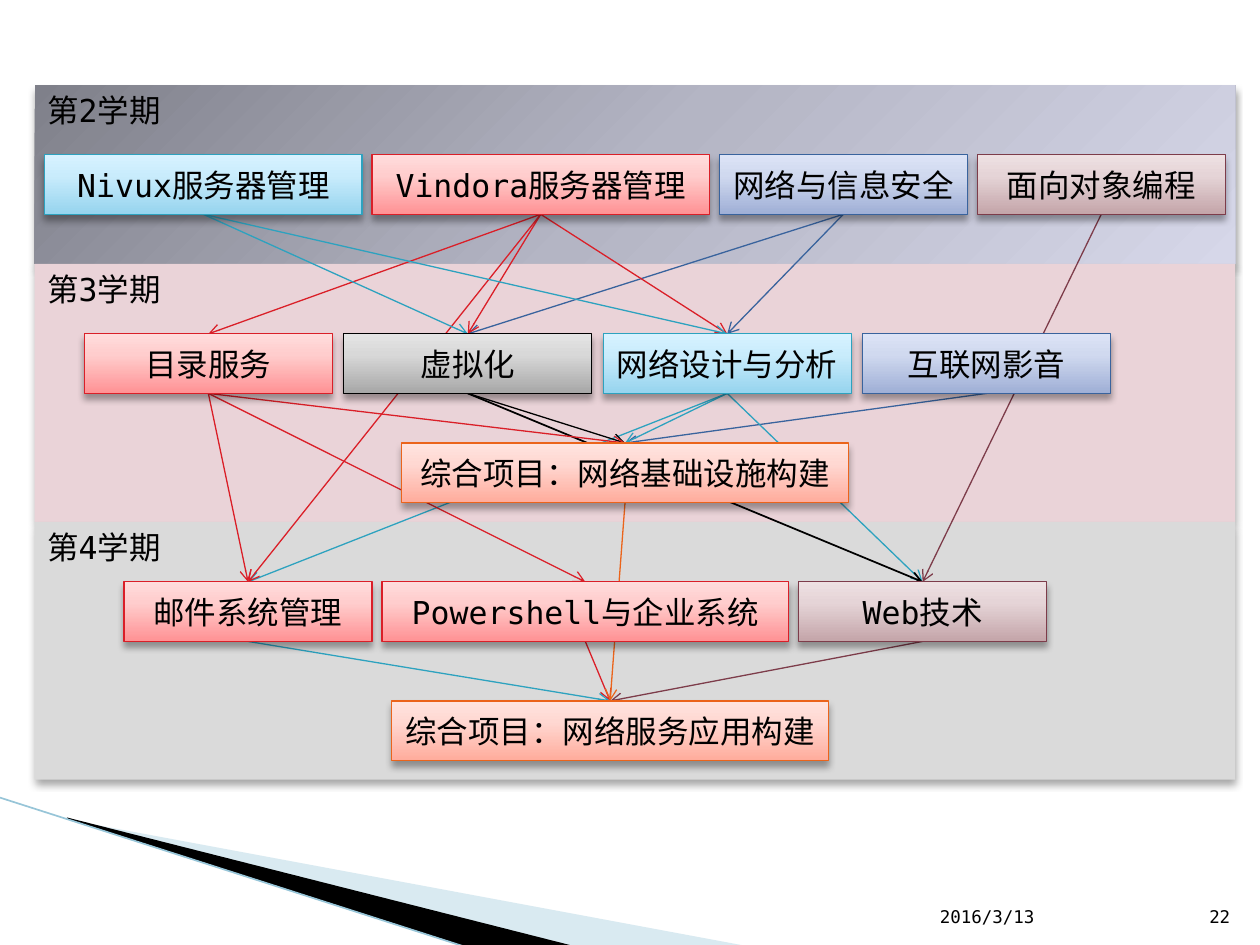
"""Build a slide charting how courses lead to each other over three semesters."""
import pptx
import pptx.dml.color
import pptx.enum.shapes
import pptx.enum.text
import pptx.oxml
import pptx.oxml.ns
import pptx.util
from pptx.util import Cm

NAMESPACE = pptx.oxml.ns.nsdecls("a")
ALIGN = pptx.enum.text.PP_ALIGN
ANCHOR = pptx.enum.text.MSO_ANCHOR
STRAIGHT = pptx.enum.shapes.MSO_CONNECTOR.STRAIGHT


def color(hex_value):
    return pptx.dml.color.RGBColor.from_string(hex_value)


def write_text(shape, text, size=18, align=ALIGN.LEFT, anchor=ANCHOR.TOP, wrap=True):
    frame = shape.text_frame
    frame.word_wrap = wrap
    frame.vertical_anchor = anchor
    paragraph = frame.paragraphs[0]
    paragraph.alignment = align
    run = paragraph.add_run()
    run.text = text
    run.font.size = pptx.util.Pt(size)
    run.font.name = "DejaVu Sans Mono"
    run.font.color.rgb = color("000000")


presentation = pptx.Presentation()
presentation.slide_width = Cm(25.4)
presentation.slide_height = Cm(19.05)
slide = presentation.slides.add_slide(presentation.slide_layouts[6])
shapes = slide.shapes

wedges = [
    ("A0CBDC", 40, [(1.4, 16.53), (15.1, 19.08), (11.58, 19.08), (1.4, 16.51)]),
    ("000000", 100, [(1.35, 16.48), (11.6, 19.08), (9.45, 19.1), (1.37, 16.51)]),
]
for fill_color, opacity, points in wedges:
    corners = [(Cm(x), Cm(y)) for x, y in points]
    builder = shapes.build_freeform(*corners[0])
    builder.add_line_segments(corners[1:])
    wedge = builder.convert_to_shape()
    wedge.shadow.inherit = False
    wedge.fill.solid()
    wedge.fill.fore_color.rgb = color(fill_color)
    wedge.line.fill.background()
    wedge_color = wedge.element.spPr.find(".//" + pptx.oxml.ns.qn("a:srgbClr"))
    wedge_color.append(pptx.oxml.parse_xml(f'<a:alpha {NAMESPACE} val="{opacity * 1000}"/>'))

edge = shapes.add_connector(STRAIGHT, Cm(0), Cm(16.08), Cm(9.42), Cm(19.1))
edge.line.color.rgb = color("97C5D8")
edge.line.width = pptx.util.Pt(0.95)
edge.element.spPr.append(pptx.oxml.parse_xml(f"<a:effectLst {NAMESPACE}/>"))

for text, left, width, align in [("2016/3/13", 18.7, 5.33, ALIGN.LEFT), ("22", 24.03, 1.02, ALIGN.RIGHT)]:
    footer = shapes.add_textbox(Cm(left), Cm(17.8), Cm(width), Cm(1.02))
    write_text(footer, text, size=10, align=align, anchor=ANCHOR.BOTTOM)

palettes = {
    "orange": ("EB641B", ["FFAC9C", "FFD8D2", "FFE4DF"]),
    "cyan": ("2DA2BF", ["96D4EE", "C9ECFC", "D7F2FF"]),
    "red": ("DA1F28", ["FF9294", "FFCDCD", "FFDCDC"]),
    "blue": ("39639D", ["9FAFD6", "D0D9EF", "DCE3F6"]),
    "plum": ("7D3C4A", ["C4A5A9", "E5D4D7", "EEE0E2"]),
    "black": ("000000", ["A7A7A7", "D8D8D8", "E4E4E4"]),
    "semester 2": (None, ["7F808A", "B4B5C4", "D6D7E9"]),
    "semester 3": (None, ["EAD3D8"]),
    "semester 4": (None, ["DADADA"]),
}
panels = [
    ("第2学期", "semester 2", 0.7, 1.72, 24.2, 3.6),
    ("第3学期", "semester 3", 0.7, 5.32, 24.2, 5.2),
    ("第4学期", "semester 4", 0.7, 10.52, 24.2, 5.2),
]
course_rows = [
    (0.9, 3.12, 0.2, [("Nivux服务器管理", "cyan", 6.4), ("Vindora服务器管理", "red", 6.8),
                      ("网络与信息安全", "blue", 5), ("面向对象编程", "plum", 5)]),
    (1.7, 6.73, 0.23, [("目录服务", "red", 5), ("虚拟化", "black", 5),
                       ("网络设计与分析", "cyan", 5), ("互联网影音", "blue", 5)]),
    (8.1, 8.93, 0, [("综合项目：网络基础设施构建", "orange", 9)]),
    (2.5, 11.73, 0.2, [("邮件系统管理", "red", 5), ("Powershell与企业系统", "red", 8.2),
                       ("Web技术", "plum", 5)]),
    (7.9, 14.13, 0, [("综合项目：网络服务应用构建", "orange", 8.8)]),
]
for left, top, gap, courses in course_rows:
    for text, palette, width in courses:
        panels.append((text, palette, left, top, width, 1.2))
        left += width + gap

panel_shapes = {}
for text, palette, left, top, width, height in panels:
    line_color, stops = palettes[palette]
    panel = shapes.add_shape(pptx.enum.shapes.MSO_SHAPE.RECTANGLE,
                             Cm(left), Cm(top), Cm(width), Cm(height))
    panel_shapes[text] = panel
    if len(stops) == 1:
        panel.fill.solid()
        panel.fill.fore_color.rgb = color(stops[0])
    else:
        panel.fill.gradient()
        panel.fill.gradient_angle = 90 if line_color else 315
        stop_list = panel.element.spPr.find(".//" + pptx.oxml.ns.qn("a:gsLst"))
        stop_list.clear()
        for position, stop in zip([0, 65 if line_color else 50, 100], stops):
            stop_list.append(pptx.oxml.parse_xml(
                f'<a:gs {NAMESPACE} pos="{position * 1000}"><a:srgbClr val="{stop}"/></a:gs>'))
    if line_color:
        panel.line.color.rgb = color(line_color)
        panel.line.width = pptx.util.Pt(0.75)
        write_text(panel, text, align=ALIGN.CENTER, anchor=ANCHOR.MIDDLE, wrap=False)
    else:
        panel.line.fill.background()
        write_text(panel, text)
    panel.shadow.inherit = False
    panel.element.spPr.find(pptx.oxml.ns.qn("a:effectLst")).append(pptx.oxml.parse_xml(
        f'<a:outerShdw {NAMESPACE} blurRad="50800" dist="38100" dir="5400000" rotWithShape="0">'
        '<a:srgbClr val="000000"><a:alpha val="35000"/></a:srgbClr></a:outerShdw>'))

links = [
    ("Nivux服务器管理", "cyan", ["虚拟化", "网络设计与分析"]),
    ("Vindora服务器管理", "red", ["目录服务", "虚拟化", "网络设计与分析", "邮件系统管理"]),
    ("网络与信息安全", "blue", ["虚拟化", "网络设计与分析"]),
    ("面向对象编程", "plum", ["Web技术"]),
    ("目录服务", "red", ["综合项目：网络基础设施构建", "邮件系统管理", "Powershell与企业系统"]),
    ("虚拟化", "black", ["综合项目：网络基础设施构建", "Web技术"]),
    ("网络设计与分析", "cyan", ["综合项目：网络基础设施构建", "邮件系统管理", "Web技术"]),
    ("互联网影音", "blue", ["综合项目：网络基础设施构建"]),
    ("综合项目：网络基础设施构建", "orange", ["综合项目：网络服务应用构建"]),
    ("邮件系统管理", "cyan", ["综合项目：网络服务应用构建"]),
    ("Powershell与企业系统", "red", ["综合项目：网络服务应用构建"]),
    ("Web技术", "plum", ["综合项目：网络服务应用构建"]),
]
for source, palette, targets in links:
    for target in targets:
        arrow = shapes.add_connector(STRAIGHT, 0, 0, 0, 0)
        arrow.begin_connect(panel_shapes[source], 2)
        arrow.end_connect(panel_shapes[target], 0)
        arrow.line.color.rgb = color(palettes[palette][0])
        arrow.line.width = pptx.util.Pt(1 if (source, target) == ("虚拟化", "Web技术") else 0.75)
        arrow.element.spPr.find(pptx.oxml.ns.qn("a:ln")).append(
            pptx.oxml.parse_xml(f'<a:tailEnd {NAMESPACE} type="arrow"/>'))
        arrow.element.spPr.append(pptx.oxml.parse_xml(f"<a:effectLst {NAMESPACE}/>"))
        panel_shapes["第4学期"].element.addnext(arrow.element)

presentation.save("out.pptx")
